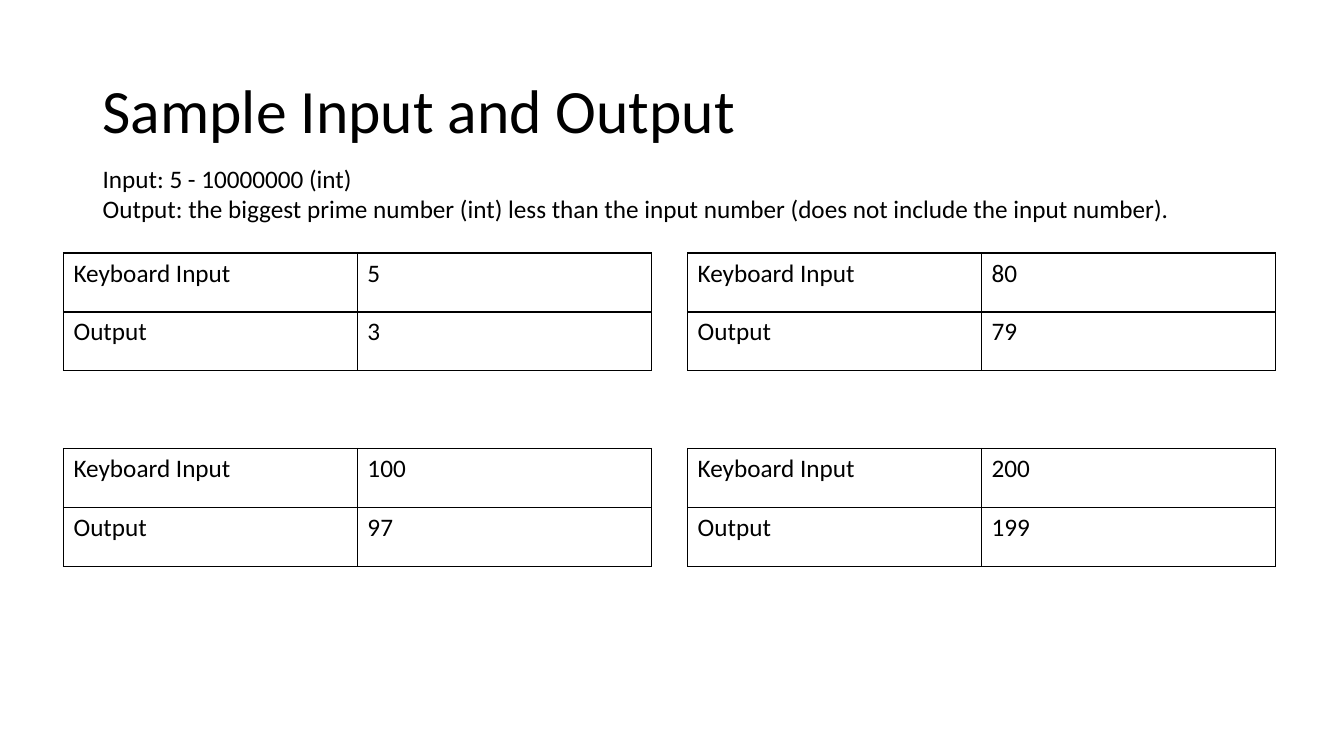
from lxml import etree
from pptx import Presentation
from pptx import util as u
from pptx.dml.color import RGBColor
from pptx.enum import text
from pptx.oxml.ns import qn

COLORS = {"ink": "000000", "paper": "FFFFFF"}


class SlideBuilder:
    font = "Calibri"
    body_size = 18
    border_width = 1

    def __init__(self, s):
        self.s = s
        s.background.fill.solid()
        s.background.fill.fore_color.rgb = RGBColor.from_string(COLORS["paper"])

    def run(self, p, content, size):
        r = p.add_run()
        r.text = content
        r.font.name = self.font
        r.font.size = u.Pt(size)
        r.font.color.rgb = RGBColor.from_string(COLORS["ink"])

    def textbox(self, box, lines, size=body_size, anchor=text.MSO_ANCHOR.TOP, spacing=1.0):
        sp = self.s.shapes.add_textbox(*map(u.Inches, box))
        tf = sp.text_frame
        tf.word_wrap = True
        tf.vertical_anchor = anchor
        for i, line in enumerate(lines):
            p = tf.paragraphs[0] if i == 0 else tf.add_paragraph()
            p.line_spacing = spacing
            self.run(p, line, size)

    def borders(self, cell):
        tcPr = cell._tc.get_or_add_tcPr()
        for side in ("a:lnL", "a:lnR", "a:lnT", "a:lnB"):
            ln = etree.SubElement(tcPr, qn(side), w=str(u.Pt(self.border_width)))
            fill = etree.SubElement(ln, qn("a:solidFill"))
            etree.SubElement(fill, qn("a:srgbClr"), val=COLORS["ink"])

    def table(self, box, rows):
        frame = self.s.shapes.add_table(len(rows), len(rows[0]), *map(u.Inches, box))
        tbl = frame.table
        tbl.first_row = False
        tbl.horz_banding = False
        for i, row in enumerate(rows):
            for j, content in enumerate(row):
                cell = tbl.cell(i, j)
                self.borders(cell)
                cell.fill.background()
                self.run(cell.text_frame.paragraphs[0], content, self.body_size)


def main():
    prs = Presentation()
    prs.slide_width, prs.slide_height = u.Inches(13.33), u.Inches(7.5)
    b = SlideBuilder(prs.slides.add_slide(prs.slide_layouts[6]))

    b.textbox((0.92, 0.4, 11.5, 1.45), ["Sample Input and Output"],
              size=44, anchor=text.MSO_ANCHOR.MIDDLE, spacing=0.9)
    b.textbox((0.92, 1.57, 12.71, 0.71), [
        "Input: 5 - 10000000 (int)",
        "Output: the biggest prime number (int) less than the input number "
        "(does not include the input number).",
    ])

    samples = [("5", "3"), ("80", "79"), ("100", "97"), ("200", "199")]
    for i, (given, prime) in enumerate(samples):
        row, col = divmod(i, 2)
        b.table((0.63 + 6.19 * col, 2.51 + 1.94 * row, 5.83, 1.17),
                [("Keyboard Input", given), ("Output", prime)])

    prs.save("out.pptx")


if __name__ == "__main__":
    main()
